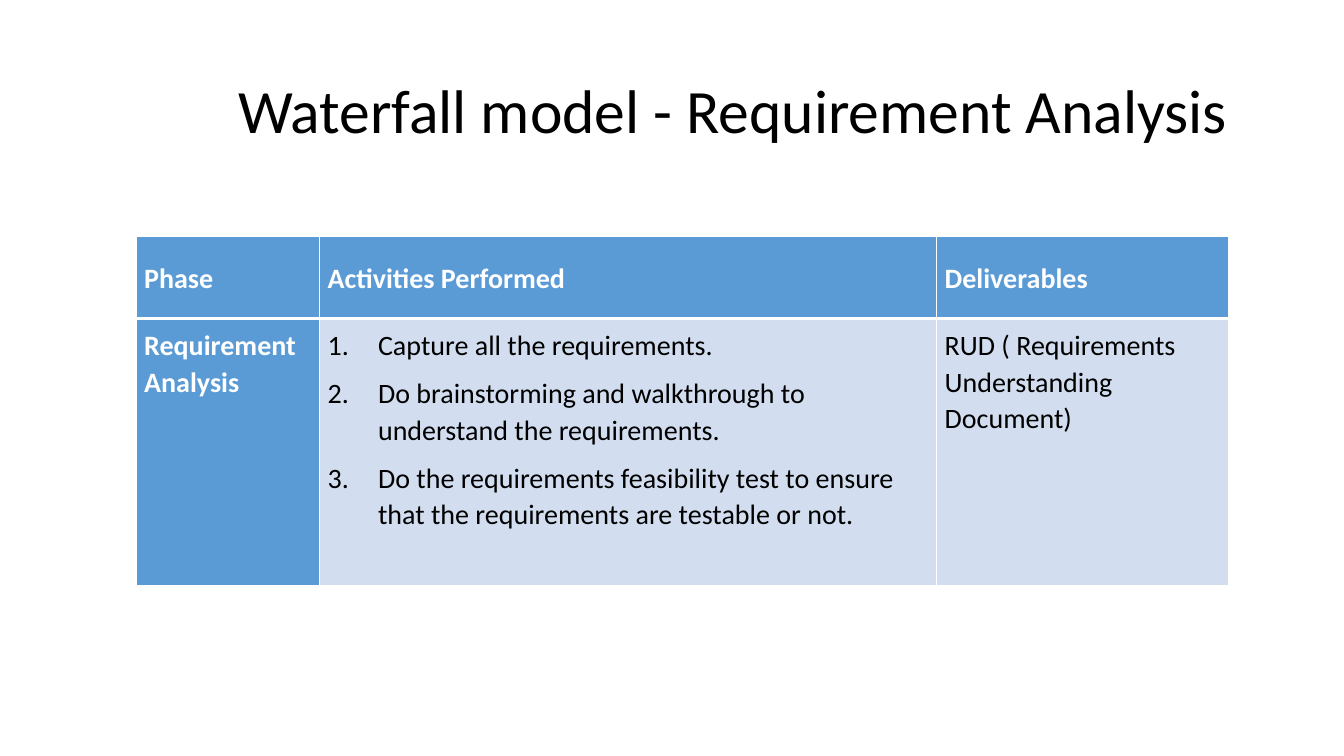
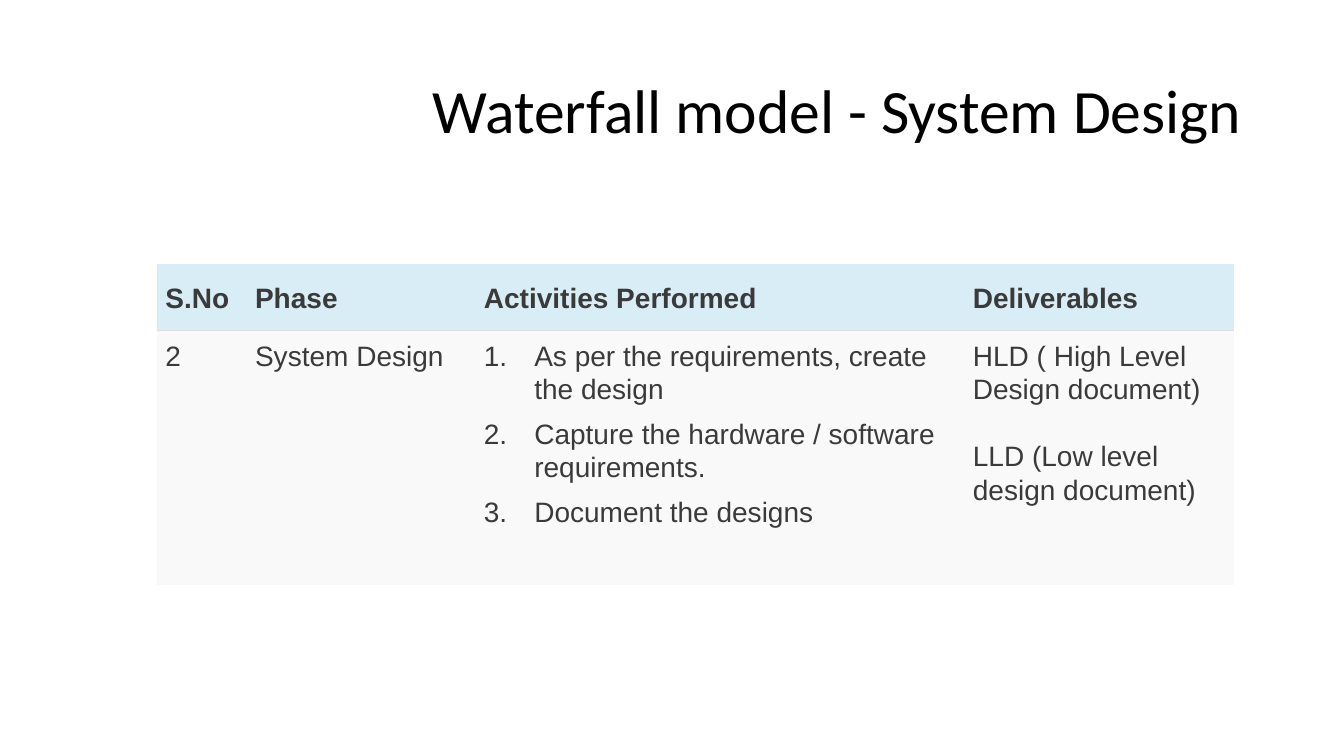
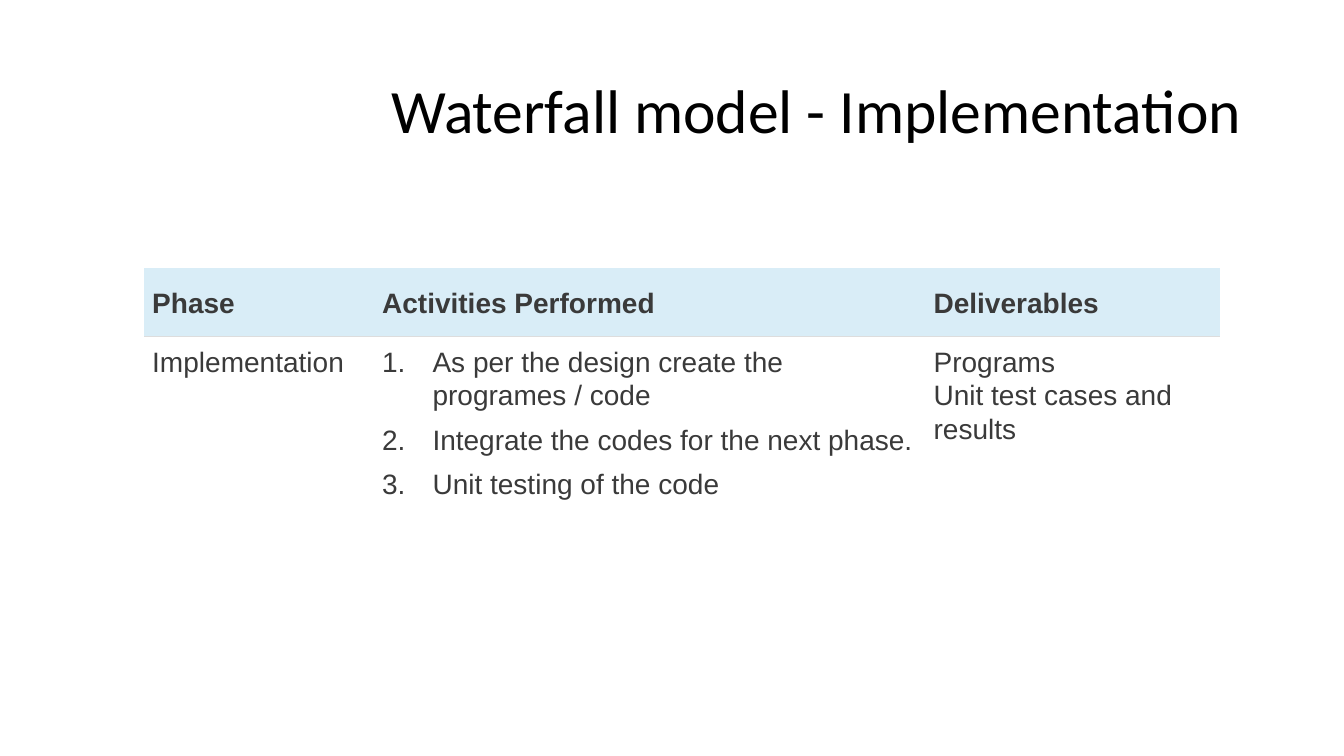
from dataclasses import dataclass

import pptx
import pptx.dml.color
import pptx.enum.text
import pptx.oxml.ns
import pptx.presentation
import pptx.slide
import pptx.table
import pptx.text.text
import pptx.util
from lxml import etree

Inches = pptx.util.Inches
Pt = pptx.util.Pt
Anchor = pptx.enum.text.MSO_ANCHOR


# Shared look
@dataclass(frozen=True)
class Theme:
    title_font: str = "Calibri"
    title_color: str = "000000"
    title_size: int = 44
    table_size: int = 20
    title_line_spacing: float = 0.9
    table_line_spacing: float = 1.07
    paragraph_gap: int = 8
    cell_margin: float = 0.08
    list_indent: float = 0.5


@dataclass(frozen=True)
class TableStyle:
    font: str
    header_fill: str
    header_color: str
    body_fill: str
    body_color: str
    line_color: str
    divider_width: float  # line between header and body
    grid_width: float = 0  # all other lines
    first_column_as_header: bool = False


THEME = Theme()
BLUE = TableStyle("Calibri", "5B9BD5", "FFFFFF", "D2DEEF", "000000", "FFFFFF", 3, 1, True)
PALE_GREY = TableStyle("Arial", "D9EDF7", "3A3A3A", "F9F9F9", "3A3A3A", "DDDDDD", 1)
PALE_WHITE = TableStyle("Arial", "D9EDF7", "3A3A3A", "FFFFFF", "3A3A3A", "DDDDDD", 1)


# Content
@dataclass(frozen=True)
class Column:
    heading: str
    width: float
    entries: tuple[str, ...]
    numbered: bool = False
    gap: float = THEME.paragraph_gap


@dataclass(frozen=True)
class PhaseSlide:
    title: str
    left: float
    top: float
    row_heights: tuple[float, float]
    style: TableStyle
    columns: tuple[Column, ...]


PHASES = (
    PhaseSlide("Waterfall model - Requirement Analysis ", 1.35, 2.35, (0.81, 2.65), BLUE, (
        Column("Phase", 1.82, ("Requirement Analysis",)),
        Column("Activities Performed", 6.12, (
            "Capture all the requirements.",
            "Do brainstorming and walkthrough to understand the requirements.",
            "Do the requirements feasibility test to ensure that the requirements "
            "are testable or not.",
        ), numbered=True),
        Column("Deliverables", 2.9, ("RUD ( Requirements Understanding Document)",)),
    )),
    PhaseSlide("Waterfall model - System Design", 1.56, 2.62, (0.66, 2.52), PALE_GREY, (
        Column("S.No", 0.89, ("2",)),
        Column("Phase", 2.27, ("System Design",)),
        Column("Activities Performed", 4.85, (
            "As per the requirements, create the design",
            "Capture the hardware / software requirements.",
            "Document the designs",
        ), numbered=True),
        Column("Deliverables", 2.67, (
            "HLD ( High Level Design document)",
            "LLD (Low level design document)",
        ), gap=24),
    )),
    PhaseSlide("Waterfall model - Implementation", 1.43, 2.66, (0.68, 2.63), PALE_WHITE, (
        Column("Phase", 2.28, ("Implementation",)),
        Column("Activities Performed", 5.47, (
            "As per the design create the programes / code",
            "Integrate the codes for the next phase.",
            "Unit testing of the code",
        ), numbered=True),
        Column("Deliverables", 2.92, ("Programs", "Unit test cases and results"), gap=0),
    )),
)


# Text helpers
def add_run(paragraph: pptx.text.text._Paragraph, text: str, font: str,
            size: int, color: str, bold: bool = False) -> None:
    run = paragraph.add_run()
    run.text = text
    run.font.name = font
    run.font.size = Pt(size)
    run.font.bold = bold
    run.font.color.rgb = pptx.dml.color.RGBColor.from_string(color)


def number_paragraph(paragraph: pptx.text.text._Paragraph) -> None:
    properties = paragraph._p.get_or_add_pPr()
    indent = Inches(THEME.list_indent)
    properties.set("marL", str(indent))
    properties.set("indent", str(-indent))
    etree.SubElement(properties, pptx.oxml.ns.qn("a:buAutoNum"), type="arabicPeriod")


def add_title(slide: pptx.slide.Slide, text: str) -> None:
    shape = slide.shapes.add_textbox(Inches(0.92), Inches(0.4), Inches(11.5), Inches(1.45))
    frame = shape.text_frame
    frame.word_wrap = True
    frame.vertical_anchor = Anchor.MIDDLE
    paragraph = frame.paragraphs[0]
    paragraph.alignment = pptx.enum.text.PP_ALIGN.RIGHT
    paragraph.line_spacing = THEME.title_line_spacing
    add_run(paragraph, text, THEME.title_font, THEME.title_size, THEME.title_color)


# Table helpers
def set_borders(cell: pptx.table._Cell, style: TableStyle, is_header: bool) -> None:
    properties = cell._tc.get_or_add_tcPr()
    divider = "lnB" if is_header else "lnT"
    for side in ("lnL", "lnR", "lnT", "lnB"):
        width = style.divider_width if side == divider else style.grid_width
        line = etree.SubElement(properties, pptx.oxml.ns.qn(f"a:{side}"), w=str(Pt(width)))
        if width:
            fill = etree.SubElement(line, pptx.oxml.ns.qn("a:solidFill"))
            etree.SubElement(fill, pptx.oxml.ns.qn("a:srgbClr"), val=style.line_color)
        else:
            etree.SubElement(line, pptx.oxml.ns.qn("a:noFill"))


def fill_cell(cell: pptx.table._Cell, entries: tuple[str, ...], style: TableStyle,
              is_header: bool, emphasized: bool, numbered: bool, gap: float) -> None:
    set_borders(cell, style, is_header)
    cell.fill.solid()
    cell.fill.fore_color.rgb = pptx.dml.color.RGBColor.from_string(
        style.header_fill if emphasized else style.body_fill)
    margin = Inches(THEME.cell_margin)
    cell.margin_left = cell.margin_right = cell.margin_top = cell.margin_bottom = margin
    cell.vertical_anchor = Anchor.MIDDLE if is_header else Anchor.TOP
    color = style.header_color if emphasized else style.body_color
    frame = cell.text_frame
    for index, entry in enumerate(entries):
        paragraph = frame.add_paragraph() if index else frame.paragraphs[0]
        paragraph.line_spacing = THEME.table_line_spacing
        is_last = index == len(entries) - 1
        paragraph.space_after = Pt(THEME.paragraph_gap if is_last else gap)
        if numbered:
            number_paragraph(paragraph)
        add_run(paragraph, entry, style.font, THEME.table_size, color, emphasized)


def add_phase_table(slide: pptx.slide.Slide, phase: PhaseSlide) -> None:
    width = sum(column.width for column in phase.columns)
    table = slide.shapes.add_table(
        2, len(phase.columns), Inches(phase.left), Inches(phase.top),
        Inches(width), Inches(sum(phase.row_heights))).table
    table.first_row = table.horz_banding = False
    for row, height in zip(table.rows, phase.row_heights):
        row.height = Inches(height)
    for index, column in enumerate(phase.columns):
        table.columns[index].width = Inches(column.width)
        fill_cell(table.cell(0, index), (column.heading,), phase.style,
                  True, True, False, THEME.paragraph_gap)
        emphasized = phase.style.first_column_as_header and index == 0
        fill_cell(table.cell(1, index), column.entries, phase.style,
                  False, emphasized, column.numbered, column.gap)


# Slides
def add_phase_slide(presentation: pptx.presentation.Presentation, phase: PhaseSlide) -> None:
    slide = presentation.slides.add_slide(presentation.slide_layouts[6])
    add_title(slide, phase.title)
    add_phase_table(slide, phase)


def main() -> None:
    presentation = pptx.Presentation()
    presentation.slide_width = Inches(13.33)
    presentation.slide_height = Inches(7.5)
    for phase in PHASES:
        add_phase_slide(presentation, phase)
    presentation.save("out.pptx")


if __name__ == "__main__":
    main()
